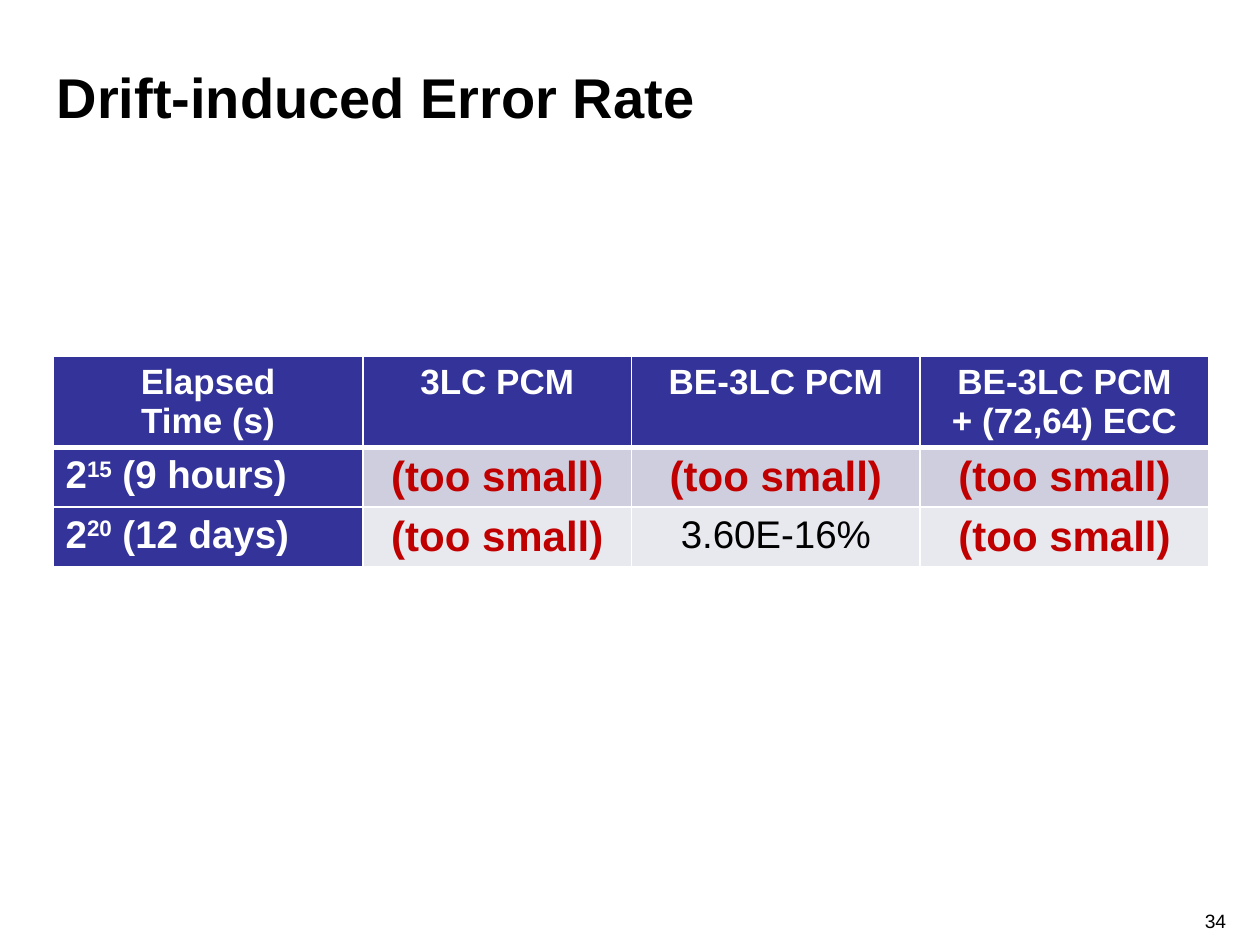
from lxml.etree import SubElement
from pptx import Presentation
from pptx.dml.color import RGBColor
from pptx.enum.text import MSO_ANCHOR, PP_ALIGN
from pptx.oxml.ns import qn
from pptx.util import Cm, Pt

WHITE = RGBColor(0xFF, 0xFF, 0xFF)
BLACK = RGBColor(0, 0, 0)
NAVY = RGBColor(0x33, 0x33, 0x99)
RED = RGBColor(0xC0, 0, 0)
BANDS = [RGBColor(0xCE, 0xCE, 0xDE), RGBColor(0xE8, 0xE8, 0xEF)]


def add_run(para, text, size, color, bold=True, base=0):
    run = para.add_run()
    run.text = text
    font = run.font
    font.name, font.size, font.bold = "Arial", Pt(size), bold
    font.color.rgb = color
    if base:
        font._element.set("baseline", str(base * 1000))


def add_edge(cell, side, width):
    line = SubElement(cell._tc.get_or_add_tcPr(), qn(f"a:ln{side}"), w=str(Pt(width)))
    fill = SubElement(line, qn("a:solidFill"))
    SubElement(fill, qn("a:srgbClr"), val=str(WHITE))


deck = Presentation()
deck.slide_width, deck.slide_height = Cm(25.4), Cm(19.05)
slide = deck.slides.add_slide(deck.slide_layouts[5])

# Title
title = slide.shapes.title
title.left, title.top, title.width, title.height = Cm(0.89), Cm(0.89), Cm(22.86), Cm(2.11)
title.text_frame.vertical_anchor = MSO_ANCHOR.MIDDLE
para = title.text_frame.paragraphs[0]
para.alignment = PP_ALIGN.LEFT
add_run(para, "Drift-induced Error Rate", 32, BLACK)

# Table: each cell is a list of lines, or a time as base, power and note
SMALL = ["(too small)"]
ROWS = [
    [["Elapsed", "Time (s)"], ["3LC PCM"], ["BE-3LC PCM"], ["BE-3LC PCM", "+ (72,64) ECC"]],
    [["2", "15", " (9 hours)"], SMALL, SMALL, SMALL],
    [["2", "20", " (12 days)"], SMALL, ["3.60E-16%"], SMALL],
]
WIDTHS = [6.25, 5.41, 5.82, 5.82]
HEIGHTS = [1.78, 1.19, 1.19]
table = slide.shapes.add_table(
    3, 4, Cm(1.07), Cm(7.19), Cm(sum(WIDTHS)), Cm(sum(HEIGHTS))).table
for col, width in zip(table.columns, WIDTHS):
    col.width = Cm(width)
for row, height in zip(table.rows, HEIGHTS):
    row.height = Cm(height)

for r, row in enumerate(ROWS):
    for c, parts in enumerate(row):
        cell = table.cell(r, c)
        # White edges, thicker under the header
        for side in "LRTB":
            thick = (r, side) in [(0, "B"), (1, "T")]
            add_edge(cell, side, 3 if thick else 1)
        cell.fill.solid()
        cell.fill.fore_color.rgb = NAVY if r == 0 or c == 0 else BANDS[r - 1]
        para = cell.text_frame.paragraphs[0]
        para.alignment = PP_ALIGN.LEFT if r and c == 0 else PP_ALIGN.CENTER
        for i, part in enumerate(parts):
            if r == 0:
                if i:
                    para.add_line_break()
                add_run(para, part, 20, WHITE)
            elif c == 0:
                add_run(para, part, 22, WHITE, base=30 if i == 1 else 0)
            elif parts == SMALL:
                add_run(para, part, 24, RED)
            else:
                add_run(para, part, 22, BLACK, bold=False)

# Slide number
box = slide.shapes.add_textbox(Cm(23.5), Cm(18.21), Cm(1.47), Cm(0.46))
box.text_frame.word_wrap = True
para = box.text_frame.paragraphs[0]
para.alignment = PP_ALIGN.RIGHT
add_run(para, "34", 11, BLACK, bold=False)

deck.save("out.pptx")
